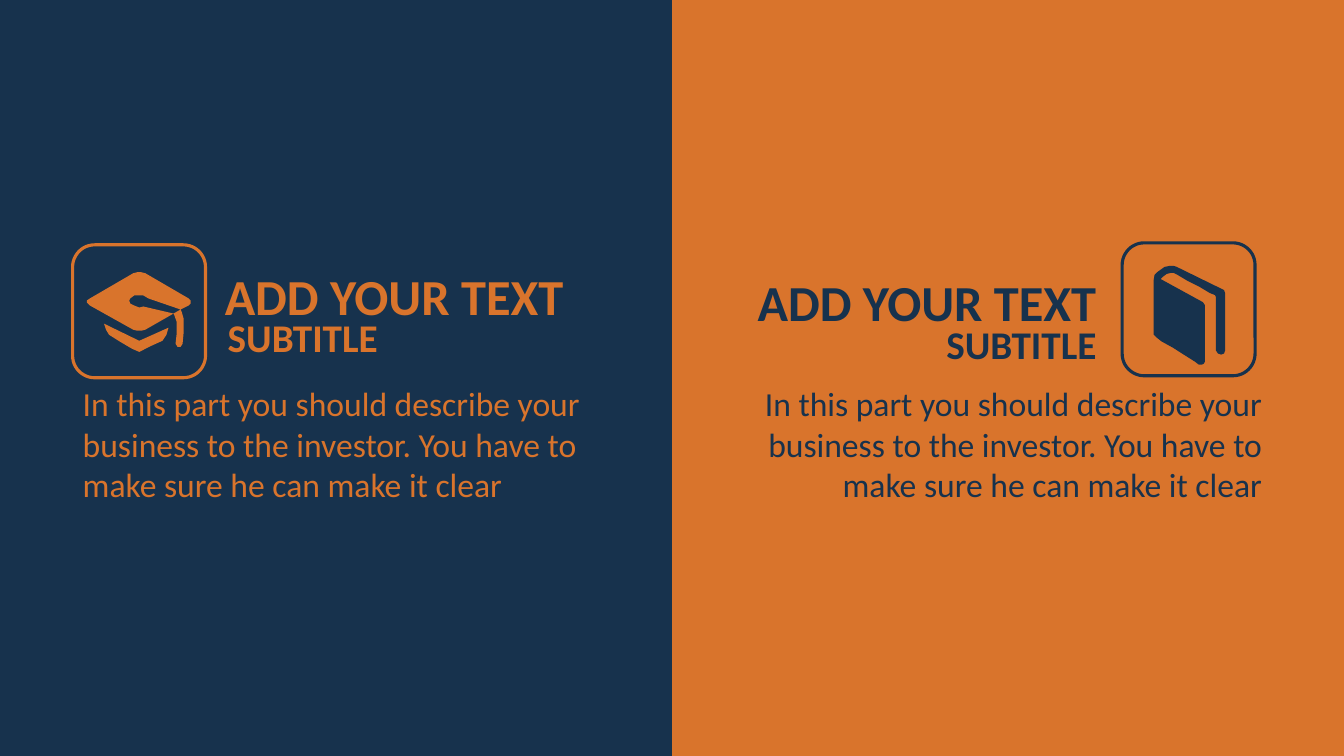
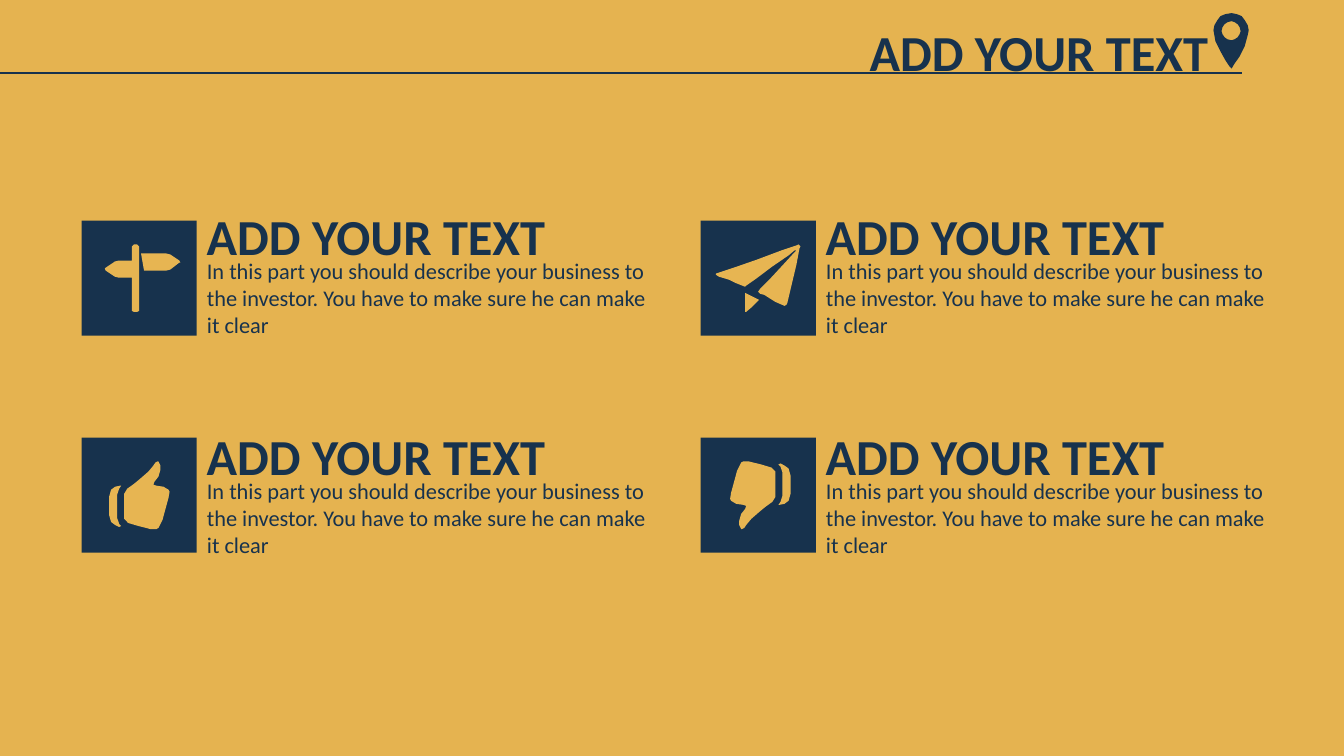
from dataclasses import dataclass

from lxml.etree import SubElement
from pptx import Presentation
from pptx.dml.color import RGBColor
from pptx.enum.shapes import MSO_CONNECTOR, MSO_SHAPE
from pptx.enum.text import MSO_ANCHOR, MSO_AUTO_SIZE, PP_ALIGN
from pptx.oxml.ns import qn
from pptx.util import Cm, Pt


@dataclass(frozen=True)
class Theme:
    navy: RGBColor = RGBColor(0x17, 0x32, 0x4D)
    orange: RGBColor = RGBColor(0xD9, 0x74, 0x2C)
    yellow: RGBColor = RGBColor(0xE5, 0xB3, 0x50)
    icon_yellow: RGBColor = RGBColor(0xE7, 0xB5, 0x52)
    font: str = "Calibri"
    heading: int = 36
    subtitle: int = 28
    lead: int = 24
    detail: int = 16


THEME = Theme()
WIDTH, HEIGHT = 33.87, 19.05
HEADING_H = 1.8
ICON_UNIT = Cm(0.0254)

HEADING = "ADD YOUR TEXT"
SUBTITLE = "SUBTITLE"
DESCRIPTION = ("In this part you should describe your business to the investor. "
               "You have to make sure he can make it clear")

# Each outline lists x,y points in icon units; "/" starts a new contour.
CAP = """17,51 52,68 81,55 79,62 75,68 64,73 52,79 45,76 33,69 22,62 19,57 /
93,37 94,39 96,46 96,60 95,71 93,74 90,74 88,71 89,62 89,49 87,43 86,41 /
54,0 58,1 101,26 103,28 103,31 101,33 93,37 61,26 56,23 47,23 43,26 42,28 43,31
47,33 52,35 56,34 86,41 58,57 54,58 50,58 46,57 3,33 0,30 0,28 3,26 46,1 50,0"""
BOOK = """20,0 23,1 70,24 71,27 71,84 70,87 67,88 64,87 62,84 62,31 61,29 56,27
46,21 34,15 24,9 20,7 17,7 13,8 9,11 7,13 49,36 51,39 51,95 50,97 48,98 45,98
41,95 30,88 19,81 8,75 3,71 1,69 0,68 0,15 1,9 4,6 11,1 16,0"""
SIGNPOST = """36,9 61,9 65,10 74,16 75,18 74,18 65,25 61,26 39,26 /
29,0 32,0 34,2 34,66 32,67 29,67 27,66 27,33 14,33 10,32 1,26 0,24 1,23 10,17
14,16 27,16 27,2"""
PLANE = """29,48 43,55 42,56 36,62 30,67 29,67 /
82,0 84,2 83,4 80,20 75,41 71,58 70,60 68,61 66,60 59,57 48,50 44,49 42,47 44,44
53,35 66,21 77,9 80,6 78,6 72,11 56,22 40,34 30,41 29,42 19,38 13,35 3,32 0,30
0,29 3,28 18,23 41,15 65,6 80,1"""
THUMB = """11,24 12,24 10,27 8,33 8,56 10,62 12,64 10,65 6,63 2,60 0,53 0,35 2,28
6,25 / 48,0 49,0 51,4 51,8 49,15 45,20 44,23 47,24 54,25 59,28 60,30 59,36 56,47
53,58 49,66 47,67 41,67 29,64 19,61 15,57 15,32 18,27 25,22 31,17 39,10 44,4 46,1"""
PIN = """18,8 14,9 11,11 9,14 8,18 9,21 11,24 14,26 18,27 21,26 24,24 26,21 27,18
26,14 24,11 21,9 / 18,0 23,1 28,3 31,7 34,12 35,17 34,22 31,33 26,43 21,50 18,55
16,53 12,47 7,38 2,28 0,17 1,12 4,7 7,3 12,1"""


def cm_box(*lengths):
    return [Cm(length) for length in lengths]


def write(sp, text, *, size, color, bold=False, align=PP_ALIGN.LEFT):
    tf = sp.text_frame
    tf.word_wrap = True
    tf.auto_size = MSO_AUTO_SIZE.NONE
    tf.vertical_anchor = MSO_ANCHOR.TOP
    p = tf.paragraphs[0]
    pPr = p._p.get_or_add_pPr()
    pPr.set("marL", "0")
    pPr.set("indent", "0")
    SubElement(pPr, qn("a:buNone"))
    p.alignment = align
    p.space_before = Pt(0)
    r = p.add_run()
    r.text = text
    font = r.font
    font.name, font.size, font.bold = THEME.font, Pt(size), bold
    font.color.rgb = color


def text_area(slide, box, text, *, holder=None, **fmt):
    """Write into the given placeholder, or into a new text box, at box."""
    sp = holder or slide.shapes.add_textbox(*cm_box(*box))
    sp.left, sp.top, sp.width, sp.height = cm_box(*box)
    write(sp, text, **fmt)


def block(slide, box, *, preset=MSO_SHAPE.RECTANGLE, fill=None, line=None):
    sp = slide.shapes.add_shape(preset, *cm_box(*box))
    sp.shadow.inherit = False
    if fill is None:
        sp.fill.background()
    else:
        sp.fill.solid()
        sp.fill.fore_color.rgb = fill
    if line is None:
        sp.line.fill.background()
    else:
        sp.line.color.rgb = line
        sp.line.width = Pt(2.25)
    return sp


def add_icon(slide, outline, left, top, color, half_turn=False):
    contours = [[tuple(int(n) for n in point.split(",")) for point in part.split()]
                for part in outline.split("/")]
    if half_turn:
        right = max(x for c in contours for x, y in c)
        bottom = max(y for c in contours for x, y in c)
        contours = [[(right - x, bottom - y) for x, y in c] for c in contours]
    builder = slide.shapes.build_freeform(*contours[0][0], scale=ICON_UNIT)
    for i, contour in enumerate(contours):
        if i:
            builder.move_to(*contour[0])
        builder.add_line_segments(contour[1:], close=True)
    sp = builder.convert_to_shape(Cm(left), Cm(top))
    sp.shadow.inherit = False
    sp.fill.solid()
    sp.fill.fore_color.rgb = color
    sp.line.fill.background()


@dataclass(frozen=True)
class Panel:
    """Parts as (inset from the outer edge, top) pairs; icon is an offset in the tile."""
    fill: RGBColor
    ink: RGBColor
    outline: str
    icon: tuple
    tile: tuple
    heading: tuple
    subtitle: tuple
    description: tuple
    mirrored: bool = False


def draw_panel(slide, box, panel, body, title=None):
    left, top, width, _ = box

    def inside(part, w, h):
        inset, down = part
        x = left + width - inset - w if panel.mirrored else left + inset
        return x, top + down, w, h

    back = block(slide, box, fill=panel.fill)
    slide.shapes._spTree.insert(2, back._element)  # behind the placeholders
    tile = inside(panel.tile, 3.35, 3.35)
    block(slide, tile, preset=MSO_SHAPE.ROUNDED_RECTANGLE, line=panel.ink)
    add_icon(slide, panel.outline, tile[0] + panel.icon[0], tile[1] + panel.icon[1],
             panel.ink)
    fmt = dict(color=panel.ink,
               align=PP_ALIGN.RIGHT if panel.mirrored else PP_ALIGN.LEFT)
    text_area(slide, inside(panel.heading, 10.65, HEADING_H), HEADING, holder=title,
              size=THEME.heading, bold=True, **fmt)
    text_area(slide, inside(panel.subtitle, 9.63, 1.45), SUBTITLE,
              size=THEME.subtitle, bold=True, **fmt)
    text_area(slide, inside(panel.description, 13.18, 3.33), DESCRIPTION, holder=body,
              size=THEME.lead, **fmt)


def split_slide(prs):
    slide = prs.slides.add_slide(prs.slide_layouts.get_by_name("Two Content"))
    title, left_body, right_body = slide.placeholders
    half = WIDTH / 2
    draw_panel(slide, (0, 0, half, HEIGHT), Panel(
        fill=THEME.navy, ink=THEME.orange, outline=CAP, icon=(0.36, 0.69),
        tile=(1.83, 6.17), heading=(5.41, 6.55), subtitle=(5.49, 7.77),
        description=(1.83, 9.53)), left_body, title)
    draw_panel(slide, (half, 0, half, HEIGHT), Panel(
        fill=THEME.orange, ink=THEME.navy, outline=BOOK, icon=(0.79, 0.58),
        tile=(2.24, 6.12), heading=(5.99, 6.71), subtitle=(5.99, 7.95),
        description=(1.81, 9.53), mirrored=True), right_body)


def draw_header(slide, title):
    rule_end, rule_y = 31.29, 1.83
    rule = slide.shapes.add_connector(MSO_CONNECTOR.STRAIGHT,
                                      *cm_box(0, rule_y, rule_end, rule_y))
    rule.line.color.rgb = THEME.navy
    rule.line.width = Pt(1.5)
    SubElement(rule._element.spPr, qn("a:effectLst"))
    text_area(slide, (rule_end - 9.63, 0.41, 9.63, HEADING_H), HEADING, holder=title,
              size=THEME.heading, color=THEME.navy, bold=True)
    add_icon(slide, PIN, rule_end - 0.71, 0.33, THEME.navy)


def draw_card(slide, left, top, text_top, body, outline, icon_inset, half_turn):
    side = 2.9
    block(slide, (left, top, side, side), fill=THEME.navy)
    add_icon(slide, outline, left + icon_inset, top + 0.6, THEME.icon_yellow, half_turn)
    text_left = left + side
    text_area(slide, (text_left, text_top, 9.63, HEADING_H), HEADING,
              size=THEME.heading, color=THEME.navy, bold=True)
    text_area(slide, (text_left, text_top + 1.3, 11.89, 2.31), DESCRIPTION,
              holder=body, size=THEME.detail, color=THEME.navy)


def cards_slide(prs):
    slide = prs.slides.add_slide(prs.slide_layouts.get_by_name("Comparison"))
    slide.background.fill.solid()
    slide.background.fill.fore_color.rgb = THEME.yellow
    title, *bodies = slide.placeholders
    draw_header(slide, title)
    icons = [(SIGNPOST, 0.58, False), (PLANE, 0.38, False),
             (THUMB, 0.69, False), (THUMB, 0.74, True)]
    for i, (body, icon) in enumerate(zip(bodies, icons)):
        row, col = divmod(i, 2)
        draw_card(slide, 2.06 + col * 15.6, 5.56 + row * 5.47, 5.05 + row * 5.54,
                  body, *icon)


def main():
    prs = Presentation()
    prs.slide_width, prs.slide_height = cm_box(WIDTH, HEIGHT)
    split_slide(prs)
    cards_slide(prs)
    prs.save("out.pptx")


if __name__ == "__main__":
    main()
